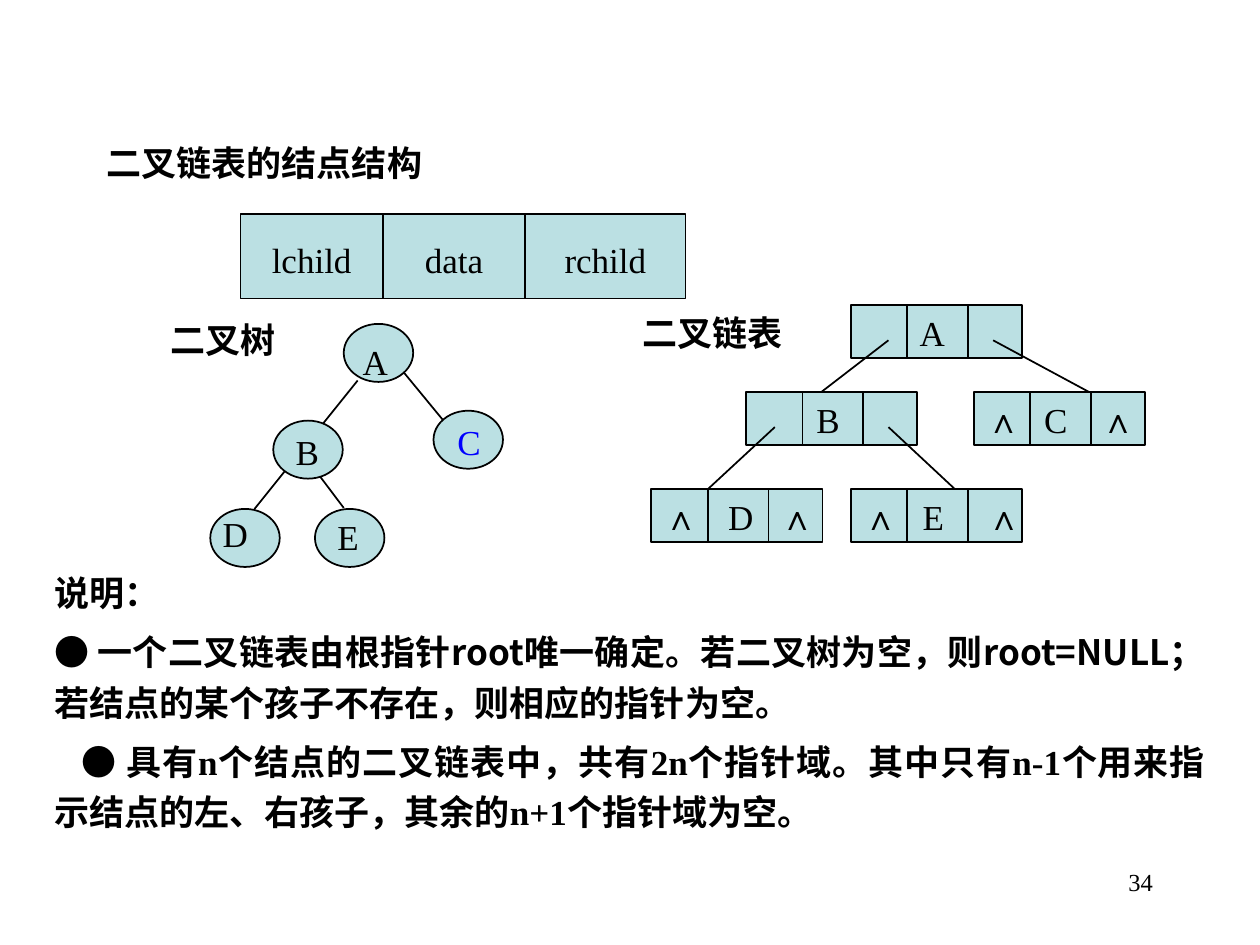
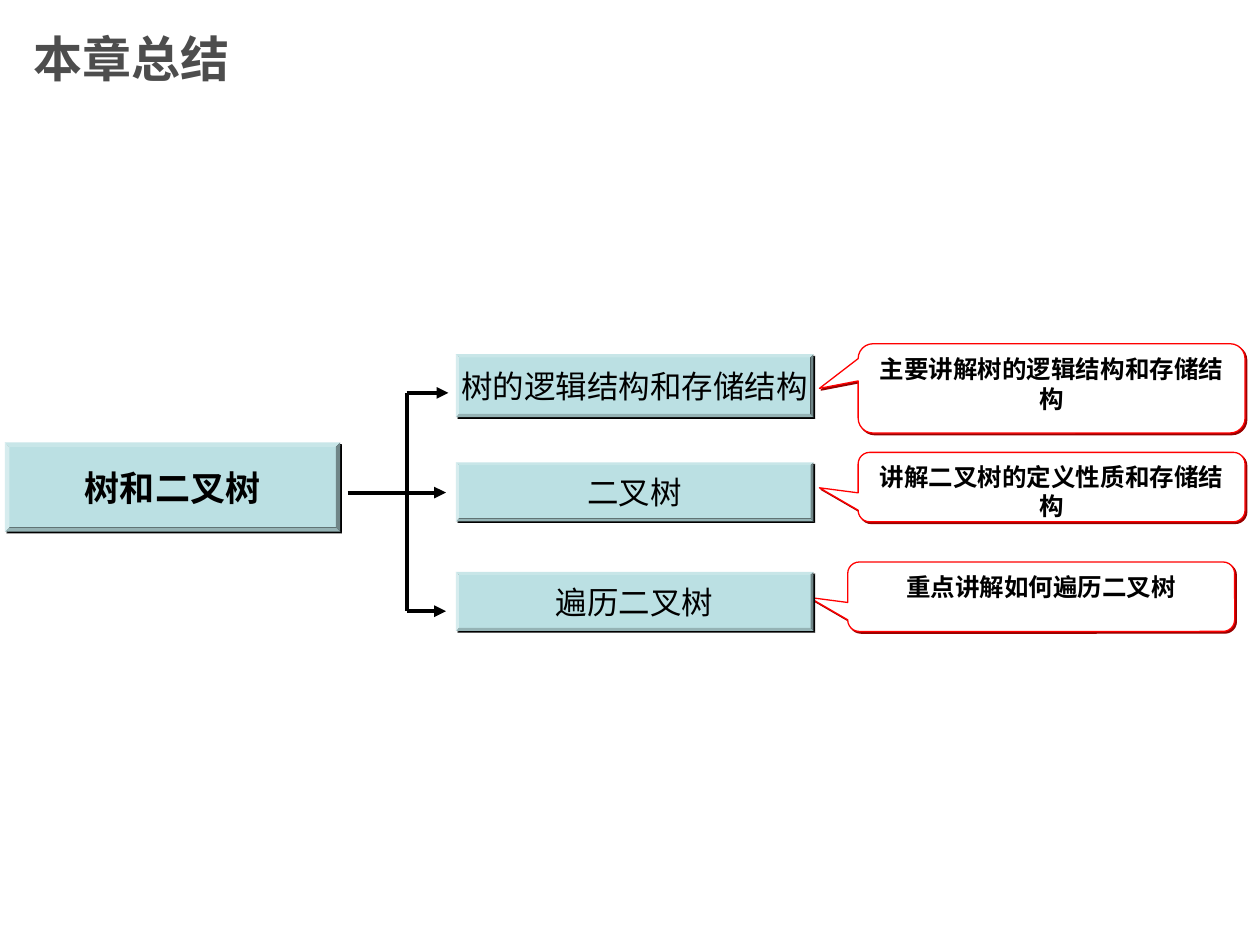
import pptx
import pptx.util
import pptx.dml.color
import pptx.enum.shapes
import pptx.enum.text
import pptx.oxml.ns
import lxml.etree

Cm, Pt = pptx.util.Cm, pptx.util.Pt
Kind = pptx.enum.shapes.MSO_SHAPE
Align = pptx.enum.text.PP_ALIGN
Anchor = pptx.enum.text.MSO_ANCHOR
qn = pptx.oxml.ns.qn

# Shared style
BLACK, WHITE, TEAL = "000000", "FFFFFF", "BBE0E3"
RED, MAROON, BLUE, GREY = "FF0000", "990000", "0000FF", "4D4D4D"
SERIF, HAN, SANS, SLIM = "Times New Roman", "Noto Sans CJK SC", "Arial", "Arial Narrow"
NIL = "∧"


def color(code):
    return pptx.dml.color.RGBColor.from_string(code)


def child(node, tag, **attrs):
    return lxml.etree.SubElement(node, qn(tag), attrs)


def style(para, size, font, bold=False, ink=BLACK, align=Align.LEFT):
    para.alignment = align
    para.font.size = Pt(size)
    para.font.bold = bold
    para.font.color.rgb = color(ink)
    para.font.name = font
    props = para._p.get_or_add_pPr().find(qn("a:defRPr"))
    child(props, "a:ea", typeface=HAN)


def label(slide, text, left, top, width, height=1.12, size=20, font=SERIF,
          anchor=Anchor.TOP, **look):
    box = slide.shapes.add_textbox(Cm(left), Cm(top), Cm(width), Cm(height))
    frame = box.text_frame
    frame.word_wrap = True
    frame.vertical_anchor = anchor
    frame.text = text
    style(frame.paragraphs[0], size, font, **look)
    return frame


def shape(slide, kind, left, top, width, height, fill=TEAL, line=BLACK, weight=1):
    item = slide.shapes.add_shape(kind, Cm(left), Cm(top), Cm(width), Cm(height))
    item.shadow.inherit = False
    item.fill.solid()
    item.fill.fore_color.rgb = color(fill)
    if line:
        item.line.color.rgb = color(line)
        item.line.width = Pt(weight)
    else:
        item.line.fill.background()
    return item


def shade(item, ink):
    """Give a shape a hard shadow to the lower right."""
    effects = item._element.spPr.find(qn("a:effectLst"))
    outer = child(effects, "a:outerShdw", dist="17780", dir="2700000",
                  algn="ctr", rotWithShape="0")
    child(outer, "a:srgbClr", val=ink)


def line(slide, x1, y1, x2, y2, weight=1, arrow=False):
    item = slide.shapes.add_connector(
        pptx.enum.shapes.MSO_CONNECTOR.STRAIGHT, Cm(x1), Cm(y1), Cm(x2), Cm(y2))
    item.line.color.rgb = color(BLACK)
    item.line.width = Pt(weight)
    if arrow:
        child(item.line._get_or_add_ln(), "a:tailEnd", type="triangle")
    child(item._element.spPr, "a:effectLst")


def record(slide, left, top, cols, height):
    """Draw a box split into columns of the given widths."""
    shape(slide, Kind.RECTANGLE, left, top, sum(cols), height)
    edge = left
    for col in cols[:-1]:
        edge += col
        line(slide, edge, top, edge, top + height)


def disc(slide, name, left, top, dx, dy, ink=BLACK):
    shape(slide, Kind.OVAL, left, top, 1.4, 1.17)
    label(slide, name, left + dx, top + dy, 1.4, ink=ink)


def bevel(slide, text, left, top, width, height, size, font, bold=False):
    item = shape(slide, Kind.BEVEL, left, top, width, height, line=None)
    item.adjustments[0] = 0.05
    shade(item, BLACK)
    frame = item.text_frame
    frame.word_wrap = False
    frame.vertical_anchor = Anchor.MIDDLE
    frame.text = text
    style(frame.paragraphs[0], size, font, bold, align=Align.CENTER)


def callout(slide, text, left, top, height, tip):
    item = shape(slide, Kind.ROUNDED_RECTANGULAR_CALLOUT, left, top, 7.8, height,
                 WHITE, RED, 0.75)
    item.adjustments[0], item.adjustments[1] = tip
    shade(item, MAROON)
    frame = item.text_frame
    frame.word_wrap = True
    frame.vertical_anchor = Anchor.TOP
    frame.text = text
    style(frame.paragraphs[0], 14, SLIM, True, align=Align.CENTER)


def notes(slide, paras):
    frame = label(slide, "", 0.84, 11.23, 23.7, 5.69)
    for i, (indent, runs) in enumerate(paras):
        para = frame.add_paragraph() if i else frame.paragraphs[0]
        para.line_spacing = 1.2
        if i:
            para.space_before = Pt(5)
        if indent:
            para._p.get_or_add_pPr().set("indent", str(Cm(indent)))
        for text, font in runs:
            run = para.add_run()
            run.text = text
            run.font.name = font
        if i:
            style(para, 20, HAN, True, align=Align.JUSTIFY)
        else:
            para.alignment = Align.JUSTIFY
            para.font.bold = True
            para.font.name = HAN


def tree(slide):
    label(slide, "二叉树", 3.18, 6.29, 4, bold=True)
    for ends in ((8.15, 7.52, 8.94, 8.48), (7.21, 7.67, 5.13, 10.26),
                 (6.35, 9.47, 6.93, 10.24)):
        line(slide, *ends)
    disc(slide, "A", 6.93, 6.53, 0.13, 0.2)
    disc(slide, "B", 5.51, 8.48, 0.2, 0.08)
    disc(slide, "C", 8.74, 8.28, 0.23, 0.08, BLUE)
    disc(slide, "D", 4.24, 10.26, 0, -0.05)
    disc(slide, "E", 6.35, 10.26, 0.2, 0)


def chain(slide):
    label(slide, "二叉链表", 12.7, 6.15, 4.01, bold=True)
    # Name, left, top, then the offset of each text in the record
    cells = [("A", 17.15, 6.15, 1.14, None, None),
             ("B", 15.04, 7.9, 1.17, None, None),
             ("C", 19.63, 7.9, 1.17, 0, 2.31),
             ("D", 13.13, 9.86, 1.3, 0, 2.34),
             ("E", 17.15, 9.86, 1.2, 0, 2.49)]
    for name, left, top, *shifts in cells:
        record(slide, left, top, (1.14, 1.22, 1.09), 1.07)
        for text, shift in zip((name, NIL, NIL), shifts):
            if shift is not None:
                label(slide, text, left + shift, top, 1.35, bold=text == NIL)
    for ends in ((17.91, 6.86, 16.56, 7.9), (20.02, 6.86, 21.95, 7.9),
                 (15.62, 8.61, 14.27, 9.86), (17.91, 8.61, 19.25, 9.86)):
        line(slide, *ends)


def links(slide):
    """Binary linked list: node layout, tree, list and notes."""
    label(slide, "34", 18.21, 17.35, 5.28, 1.27, 14, align=Align.RIGHT)
    label(slide, "二叉链表的结点结构", 1.9, 2.72, 8.46, 1.27, font=HAN, bold=True)

    # Node layout
    cols = (2.87, 2.87, 3.23)
    record(slide, 4.85, 4.32, cols, 1.7)
    for i, text in enumerate(("lchild", "data", "rchild")):
        label(slide, text, 4.85 + sum(cols[:i]), 4.68, cols[i], align=Align.CENTER)

    tree(slide)
    chain(slide)
    notes(slide, [
        (0, [("说明：", HAN)]),
        (0, [("● ", SANS),
             ("一个二叉链表由根指针root唯一确定。若二叉树为空，则root=NULL；"
              "若结点的某个孩子不存在，则相应的指针为空。", HAN)]),
        (0.55, [("● ", SANS), ("具有", HAN), ("n", SERIF),
                ("个结点的二叉链表中，共有", HAN), ("2n", SERIF),
                ("个指针域。其中只有", HAN), ("n-1", SERIF),
                ("个用来指示结点的左、右孩子，其余的", HAN), ("n+1", SERIF),
                ("个指针域为空。", HAN)])])


def recap(slide):
    """Chapter summary: one topic, three branches."""
    label(slide, "本章总结", 0.43, 0, 19.05, 2.34, 28, SANS, Anchor.MIDDLE,
          bold=True, ink=GREY)

    # Remarks
    callout(slide, "主要讲解树的逻辑结构和存储结构", 17.3, 6.93, 1.8, (-0.6, 0))
    callout(slide, "讲解二叉树的定义性质和存储结构", 17.3, 9.12, 1.4, (-0.6, 0.01))
    callout(slide, "重点讲解如何遍历二叉树", 17.09, 11.33, 1.4, (-0.6, 0.01))

    # Topics
    bevel(slide, "树和二叉树", 0.1, 8.92, 6.76, 1.8, 20, HAN, True)
    bevel(slide, "树的逻辑结构和存储结构", 9.19, 7.14, 7.21, 1.27, 18, SLIM)
    bevel(slide, "二叉树", 9.19, 9.32, 7.21, 1.19, 18, HAN)
    bevel(slide, "遍历二叉树", 9.19, 11.53, 7.21, 1.19, 18, HAN)

    # Branches
    spine, mid = 8.2, 9.93
    line(slide, spine, 7.92, spine, 12.32, 2.25)
    line(slide, 7.01, mid, spine, mid, 2.25)
    for end, y in ((9.04, 7.92), (8.99, mid), (8.99, 12.32)):
        line(slide, spine, y, end, y, 2.25, True)


def main():
    deck = pptx.Presentation()
    deck.slide_width, deck.slide_height = Cm(25.4), Cm(19.05)
    for build in (links, recap):
        build(deck.slides.add_slide(deck.slide_layouts[6]))
    deck.save("out.pptx")


if __name__ == "__main__":
    main()
